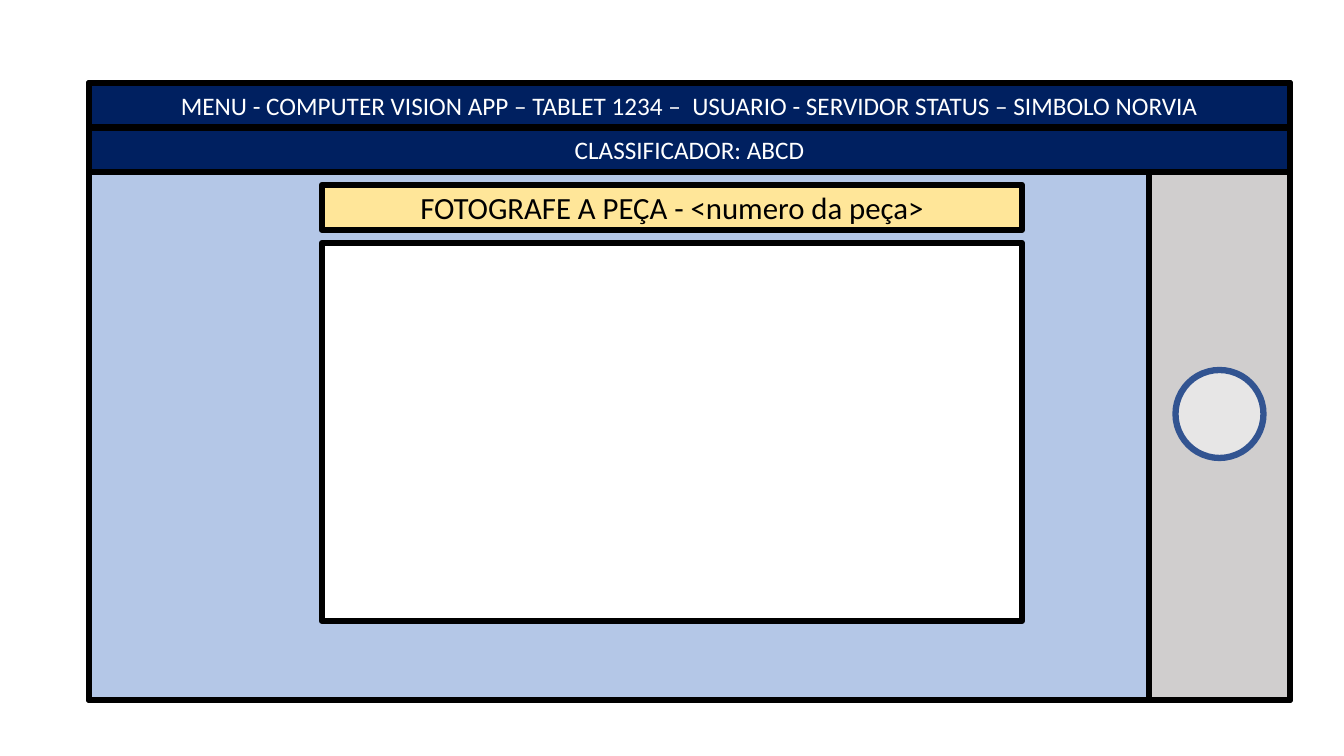
from dataclasses import dataclass

from pptx import Presentation
from pptx.dml.color import RGBColor
from pptx.enum.shapes import MSO_SHAPE
from pptx.enum.text import MSO_ANCHOR, PP_ALIGN
from pptx.util import Emu, Pt

RECT, OVAL = MSO_SHAPE.RECTANGLE, MSO_SHAPE.OVAL
MIDDLE, CENTER = MSO_ANCHOR.MIDDLE, PP_ALIGN.CENTER

MENU = "MENU - COMPUTER VISION APP – TABLET 1234 –  USUARIO - SERVIDOR STATUS – SIMBOLO NORVIA"
CLASSIFIER = "CLASSIFICADOR: ABCD"
PROMPT = "FOTOGRAFE A PEÇA - <numero da peça>"

SLIDE_W, SLIDE_H = 1344, 756
EMU_PER_PX = 914400 / 100.8


@dataclass(frozen=True)
class Theme:
    font: str = "Calibri"
    bar_size: int = 18
    prompt_size: int = 22
    border: float = 4.5
    black: str = "000000"
    white: str = "FFFFFF"
    navy: str = "002060"
    body: str = "B4C7E7"
    side: str = "D0CECE"
    button: str = "E7E6E6"
    button_line: str = "325491"
    prompt: str = "FFE699"


T = Theme()


def px(n):
    return Emu(round(n * EMU_PER_PX))


def add_box(s, box, fill=None, line=T.black, kind=RECT):
    sp = s.shapes.add_shape(kind, *map(px, box))
    sp.shadow.inherit = False
    if fill:
        sp.fill.solid()
        sp.fill.fore_color.rgb = RGBColor.from_string(fill)
    else:
        sp.fill.background()
    sp.line.color.rgb = RGBColor.from_string(line)
    sp.line.width = Pt(T.border)
    return sp


def add_label(sp, text, size, color):
    tf = sp.text_frame
    tf.word_wrap = True
    tf.vertical_anchor = MIDDLE
    tf.text = text
    p = tf.paragraphs[0]
    p.alignment = CENTER
    font = p.runs[0].font
    font.name = T.font
    font.size = Pt(size)
    font.color.rgb = RGBColor.from_string(color)


def main():
    prs = Presentation()
    prs.slide_width, prs.slide_height = px(SLIDE_W), px(SLIDE_H)
    s = prs.slides.add_slide(prs.slide_layouts[6])

    left, top, width, height = 89, 83, 1201, 617
    bar_h, side_w, button_d = 44.5, 141, 88
    body_top = top + 2 * bar_h
    body_h = height - 2 * bar_h
    body_w = width - side_w
    side_left = left + body_w
    photo_left, photo_w = 322, 700

    add_box(s, (left, body_top, body_w, body_h), T.body)
    add_box(s, (left, top, width, height))
    for i, text in enumerate((MENU, CLASSIFIER)):
        bar = add_box(s, (left, top + i * bar_h, width, bar_h), T.navy)
        add_label(bar, text, T.bar_size, T.white)

    add_box(s, (side_left, body_top, side_w, body_h), T.side)
    button_left = side_left + (side_w - button_d) / 2
    add_box(s, (button_left, 370, button_d, button_d), T.button, T.button_line, OVAL)

    prompt = add_box(s, (photo_left, 185, photo_w, 45), T.prompt)
    add_label(prompt, PROMPT, T.prompt_size, T.black)
    add_box(s, (photo_left, 243, photo_w, 378), T.white)

    prs.save("out.pptx")


if __name__ == "__main__":
    main()
